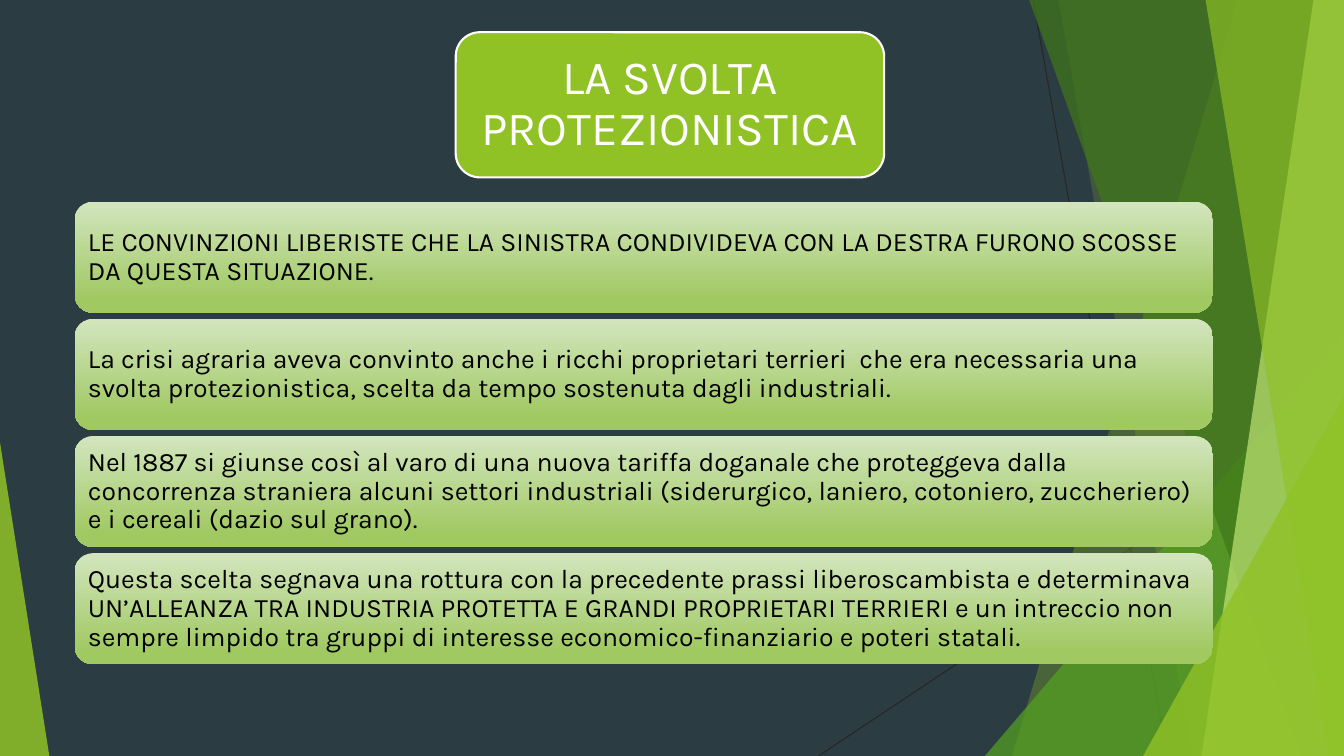
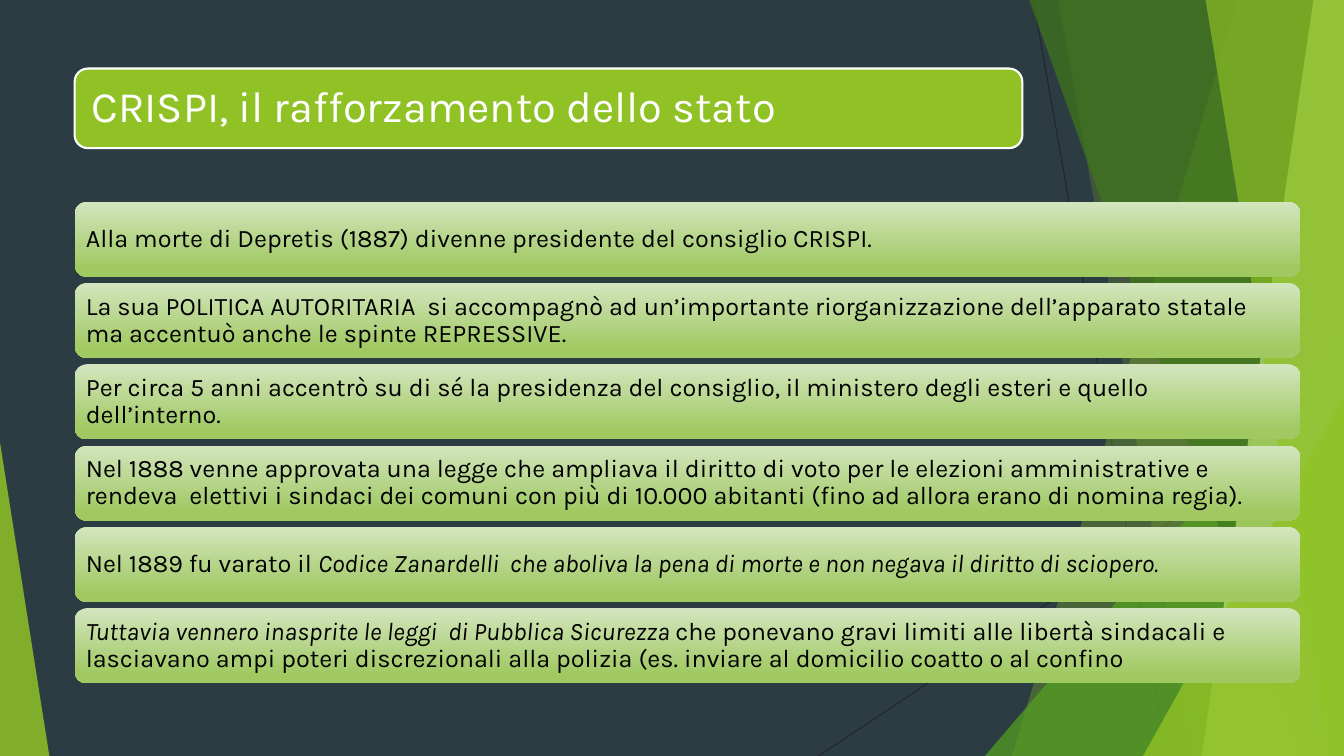
from dataclasses import dataclass

from lxml.etree import SubElement
from pptx import Presentation
from pptx.dml.color import RGBColor
from pptx.enum.shapes import MSO_CONNECTOR, MSO_SHAPE
from pptx.enum.text import MSO_ANCHOR, MSO_AUTO_SIZE, PP_ALIGN
from pptx.oxml.ns import qn
from pptx.util import Inches, Pt


@dataclass(frozen=True)
class Theme:
    """Colours, typeface and type sizes of the deck."""

    background: str = "2C3C43"
    hairline: str = "262626"
    lime: str = "90C226"
    green: str = "54A021"
    forest: str = "3F7819"
    pale_lime: str = "C0E474"
    band_top: str = "D3E5BE"
    band_bottom: str = "A0C962"
    title_text: str = "FFFFFF"
    body_text: str = "000000"
    font: str = "Karla"
    tall_title: int = 34
    wide_title: int = 31
    large_body: int = 19
    body: int = 18
    line_spacing: float = 0.9
    inset_ratio: float = 0.3


class Deck:
    """Draws on a grid of 100 columns by 100 rows in one shared style."""

    def __init__(self, theme):
        self.theme = theme
        self.presentation = Presentation()
        self.presentation.slide_width = Inches(13.33)
        self.presentation.slide_height = Inches(7.5)
        self.layout = self.presentation.slide_layouts.get_by_name("Title Only")
        self.paint(self.presentation.slide_master.background.fill, theme.background)
        self.slide = None

    def x(self, columns):
        return round(self.presentation.slide_width * columns / 100)

    def y(self, rows):
        return round(self.presentation.slide_height * rows / 100)

    def box(self, left, top, width, height):
        return self.x(left), self.y(top), self.x(width), self.y(height)

    def paint(self, fill, colour):
        fill.solid()
        fill.fore_color.rgb = RGBColor.from_string(colour)

    def add_slide(self):
        self.slide = self.presentation.slides.add_slide(self.layout)

    def glass(self, shape, colour, opacity):
        """Gives a backdrop shape a translucent fill without outline."""
        shape.shadow.inherit = False
        self.paint(shape.fill, colour)
        shape.line.fill.background()
        for node in shape.element.spPr.iter(qn("a:srgbClr")):
            SubElement(node, qn("a:alpha")).set("val", str(opacity * 1000))

    def hairline(self, shapes, start, end):
        connector = shapes.add_connector(
            MSO_CONNECTOR.STRAIGHT,
            self.x(start[0]), self.y(start[1]), self.x(end[0]), self.y(end[1]),
        )
        connector.line.width = Pt(0.75)
        self.paint(connector.line.fill, self.theme.hairline)
        SubElement(connector.element.spPr, qn("a:effectLst"))

    def pane(self, shapes, top_column, bottom_column, colour, opacity):
        """Draws a full-height pane that reaches the right edge."""
        builder = shapes.build_freeform(self.x(top_column), 0)
        corners = [(100, 0), (100, 100), (bottom_column, 100)]
        builder.add_line_segments([(self.x(column), self.y(row)) for column, row in corners])
        self.glass(builder.convert_to_shape(), colour, opacity)

    def wedge(self, shapes, left, top, width, apex, colour, opacity):
        """Draws a triangle that stands on the bottom edge."""
        triangle = shapes.add_shape(
            MSO_SHAPE.ISOSCELES_TRIANGLE, *self.box(left, top, width, 100 - top)
        )
        triangle.adjustments[0] = apex
        self.glass(triangle, colour, opacity)

    def backdrop(self):
        """Draws the backdrop once and hands it to the shared layout."""
        theme = self.theme
        group = self.slide.shapes.add_group_shape()
        shapes = group.shapes
        self.hairline(shapes, (76.88, 0), (86.85, 100))
        self.hairline(shapes, (100, 53.73), (60.9, 100))
        self.pane(shapes, 92.1, 75.3, theme.lime, 30)
        self.pane(shapes, 78.75, 88.72, theme.lime, 20)
        self.wedge(shapes, 73.28, 44.4, 26.72, 1, theme.green, 72)
        self.pane(shapes, 76.58, 96.82, theme.forest, 70)
        self.pane(shapes, 97.73, 89.4, theme.pale_lime, 70)
        self.pane(shapes, 89.7, 98.85, theme.lime, 65)
        self.wedge(shapes, 85.05, 52.4, 14.95, 1, theme.lime, 80)
        self.wedge(shapes, 0, 58.53, 3.67, 0, theme.lime, 85)
        for number, node in enumerate(group.element.iter(qn("p:cNvPr")), 100):
            node.set("id", str(number))
        self.layout.shapes.element.insert(2, group.element)

    def rounded(self, box):
        shape = self.slide.shapes.add_shape(MSO_SHAPE.ROUNDED_RECTANGLE, *box)
        shape.shadow.inherit = False
        return shape

    def set_text(self, shape, runs, size, colour, alignment=PP_ALIGN.LEFT):
        """Sets (text, italic) runs in the middle of a shape."""
        frame = shape.text_frame
        frame.word_wrap = True
        frame.auto_size = MSO_AUTO_SIZE.NONE
        frame.vertical_anchor = MSO_ANCHOR.MIDDLE
        inset = Pt(size * self.theme.inset_ratio)
        frame.margin_left = frame.margin_right = inset
        frame.margin_top = frame.margin_bottom = inset // 2
        paragraph = frame.paragraphs[0]
        paragraph.alignment = alignment
        paragraph.line_spacing = self.theme.line_spacing
        for text, italic in runs:
            run = paragraph.add_run()
            run.text = text
            run.font.name = self.theme.font
            run.font.size = Pt(size)
            run.font.italic = italic
            run.font.color.rgb = RGBColor.from_string(colour)

    def title(self, text, left, top, width, height, size, alignment=PP_ALIGN.LEFT):
        """Places the title placeholder on a rounded plate."""
        box = self.box(left, top, width, height)
        plate = self.rounded(box)
        self.paint(plate.fill, self.theme.lime)
        self.paint(plate.line.fill, self.theme.title_text)
        plate.line.width = Pt(1.5)
        title = self.slide.shapes.title
        edge = round(box[3] * 0.05)
        title.left, title.top = box[0] + edge, box[1] + edge
        title.width, title.height = box[2] - 2 * edge, box[3] - 2 * edge
        self.set_text(title, [(text, False)], size, self.theme.title_text, alignment)
        plate.element.addnext(title.element)

    def bands(self, texts, width, bottom, size, left=5.55, top=26.67, gap=0.8):
        """Stacks equal gradient bands between two rows."""
        height = (bottom - top - gap * (len(texts) - 1)) / len(texts)
        for index, runs in enumerate(texts):
            band = self.rounded(self.box(left, top + index * (height + gap), width, height))
            band.line.fill.background()
            band.fill.gradient()
            band.fill.gradient_angle = 270
            colours = (self.theme.band_top, self.theme.band_bottom)
            for stop, colour, position in zip(band.fill.gradient_stops, colours, (0, 0.88)):
                stop.color.rgb = RGBColor.from_string(colour)
                stop.position = position
            self.set_text(band, runs, size, self.theme.body_text)


PROTECTIONISM = [
    [("LE CONVINZIONI LIBERISTE CHE LA SINISTRA CONDIVIDEVA CON LA DESTRA FURONO SCOSSE "
      "DA QUESTA SITUAZIONE.", False)],
    [("La crisi agraria aveva convinto anche i ricchi proprietari terrieri  che era necessaria "
      "una svolta protezionistica, scelta da tempo sostenuta dagli industriali.", False)],
    [("Nel 1887 si giunse così al varo di una nuova tariffa doganale che proteggeva dalla "
      "concorrenza straniera alcuni settori industriali (siderurgico, laniero, cotoniero, "
      "zuccheriero) e i cereali (dazio sul grano).", False)],
    [("Questa scelta segnava una rottura con la precedente prassi liberoscambista e determinava "
      "UN’ALLEANZA TRA INDUSTRIA PROTETTA E GRANDI PROPRIETARI TERRIERI e un intreccio non "
      "sempre limpido tra gruppi di interesse economico-finanziario e poteri statali.", False)],
]

CRISPI = [
    [("Alla morte di Depretis (1887) divenne presidente del consiglio CRISPI.", False)],
    [("La sua POLITICA AUTORITARIA  si accompagnò ad un’importante riorganizzazione "
      "dell’apparato statale ma accentuò anche le spinte REPRESSIVE.", False)],
    [("Per circa 5 anni accentrò su di sé la presidenza del consiglio, il ministero degli "
      "esteri e quello dell’interno.", False)],
    [("Nel 1888 venne approvata una legge che ampliava il diritto di voto per le elezioni "
      "amministrative e rendeva  elettivi i sindaci dei comuni con più di 10.000 abitanti "
      "(fino ad allora erano di nomina regia).", False)],
    [("Nel 1889 fu varato il ", False),
     ("Codice Zanardelli  che aboliva la pena di morte e non negava il diritto di sciopero.",
      True)],
    [("Tuttavia vennero inasprite le leggi  di Pubblica Sicurezza ", True),
     ("che ponevano gravi limiti alle libertà sindacali e lasciavano ampi poteri discrezionali "
      "alla polizia (es. inviare al domicilio coatto o al confino", False)],
]


def main():
    theme = Theme()
    deck = Deck(theme)

    deck.add_slide()
    deck.backdrop()
    deck.title("LA SVOLTA PROTEZIONISTICA", 33.91, 4.27, 31.88, 19.2,
               theme.tall_title, PP_ALIGN.CENTER)
    deck.bands(PROTECTIONISM, 84.7, 87.87, theme.large_body)

    deck.add_slide()
    deck.title("CRISPI, il rafforzamento dello stato", 5.55, 9.07, 70.52, 10.53,
               theme.wide_title)
    deck.bands(CRISPI, 91.22, 90.4, theme.body)

    deck.presentation.save("out.pptx")


if __name__ == "__main__":
    main()
